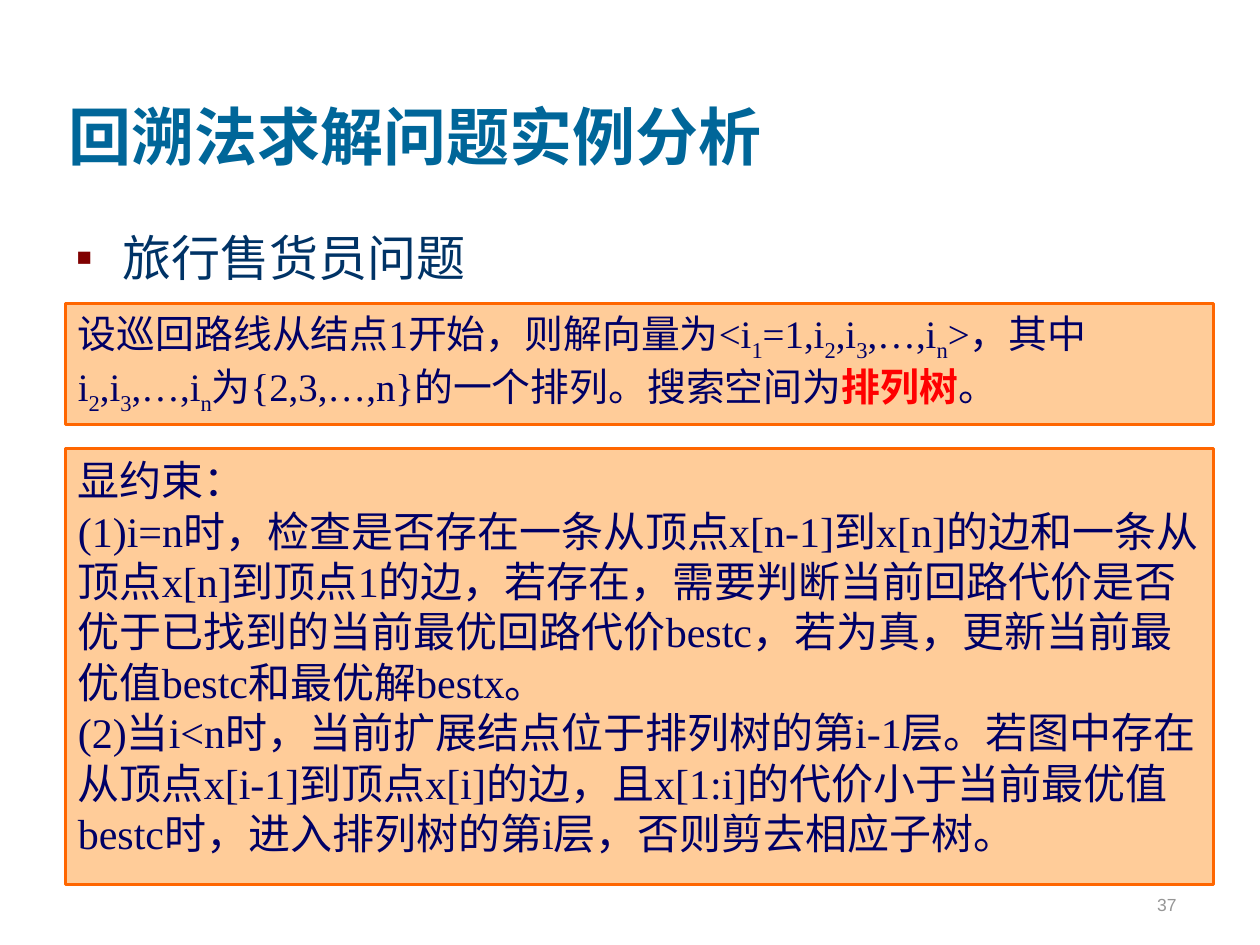
from dataclasses import dataclass

from lxml.etree import SubElement
from pptx import Presentation
from pptx.dml.color import RGBColor as Color
from pptx.enum.shapes import MSO_SHAPE as ShapeKind
from pptx.enum.text import MSO_ANCHOR as Anchor, MSO_AUTO_SIZE as AutoSize, PP_ALIGN as Align
from pptx.oxml.ns import qn
from pptx.util import Cm, Pt


@dataclass(frozen=True)
class Theme:
    heading_font: str = "Cambria"
    box_font: str = "Times New Roman"
    number_font: str = "Arial"
    title: str = "006699"
    body: str = "003366"
    bullet: str = "800000"
    box_text: str = "000066"
    box_fill: str = "FFCC99"
    box_line: str = "FF6600"
    emphasis: str = "FF0000"
    number: str = "969696"
    title_size: float = 36
    body_size: float = 28
    number_size: float = 10


@dataclass(frozen=True)
class Frame:
    left: float
    top: float
    width: float
    height: float


@dataclass(frozen=True)
class TextBlock:
    """A filled box; "_x" marks a subscript x and "*...*" marks emphasis."""
    top: float
    height: float
    size: float
    lines: tuple[str, ...]


THEME = Theme()
BOX_LEFT, BOX_WIDTH = 1.32, 23.14
BLOCKS = (
    TextBlock(9.04, 8.79, 24, (
        "显约束：",
        "(1)i=n时，检查是否存在一条从顶点x[n-1]到x[n]的边和一条从顶点x[n]到顶点1的边，"
        "若存在，需要判断当前回路代价是否优于已找到的当前最优回路代价bestc，"
        "若为真，更新当前最优值bestc和最优解bestx。",
        "(2)当i<n时，当前扩展结点位于排列树的第i-1层。若图中存在从顶点x[i-1]到顶点x[i]的边，"
        "且x[1:i]的代价小于当前最优值bestc时，进入排列树的第i层，否则剪去相应子树。",
    )),
    TextBlock(6.12, 2.44, 22.2, (
        "设巡回路线从结点1开始，则解向量为<i_1=1,i_2,i_3,…,i_n>，其中i_2,i_3,…,i_n"
        "为{2,3,…,n}的一个排列。搜索空间为*排列树*。",
    )),
)


def place(shape, frame: Frame) -> None:
    shape.left, shape.top = Cm(frame.left), Cm(frame.top)
    shape.width, shape.height = Cm(frame.width), Cm(frame.height)


def style(font, name: str, size: float, color: str, bold: bool = False) -> None:
    font.name, font.size, font.bold = name, Pt(size), bold
    font.color.rgb = Color.from_string(color)


def set_frame(shape, anchor: Anchor) -> None:
    text_frame = shape.text_frame
    text_frame.word_wrap = True
    text_frame.auto_size = AutoSize.NONE
    text_frame.vertical_anchor = anchor


def add_bullet(paragraph, character: str, color: str, indent: float) -> None:
    properties = paragraph._p.get_or_add_pPr()
    properties.set("marL", str(Cm(indent)))
    properties.set("indent", str(-Cm(indent)))
    bullet_color = SubElement(properties, qn("a:buClr"))
    SubElement(bullet_color, qn("a:srgbClr"), val=color)
    SubElement(properties, qn("a:buFont"), typeface=THEME.number_font)
    SubElement(properties, qn("a:buChar"), char=character)


def write_marked(paragraph, text: str, size: float) -> None:
    for part, piece in enumerate(text.split("*")):
        emphasized = part % 2 == 1
        color = THEME.emphasis if emphasized else THEME.box_text
        first, *rest = piece.split("_")
        runs = [(first, False)]
        for section in rest:
            runs += [(section[0], True), (section[1:], False)]
        for content, subscript in runs:
            run = paragraph.add_run()
            run.text = content
            style(run.font, THEME.box_font, size, color, emphasized)
            if subscript:
                run.font._element.set("baseline", "-25000")


def add_block(slide, block: TextBlock) -> None:
    shape = slide.shapes.add_shape(ShapeKind.RECTANGLE, Cm(BOX_LEFT), Cm(block.top),
                                   Cm(BOX_WIDTH), Cm(block.height))
    shape.shadow.inherit = False
    shape.fill.solid()
    shape.fill.fore_color.rgb = Color.from_string(THEME.box_fill)
    shape.line.color.rgb = Color.from_string(THEME.box_line)
    shape.line.width = Pt(2)
    set_frame(shape, Anchor.TOP)
    for index, line in enumerate(block.lines):
        text_frame = shape.text_frame
        paragraph = text_frame.add_paragraph() if index else text_frame.paragraphs[0]
        paragraph.alignment = Align.LEFT
        write_marked(paragraph, line, block.size)


def main() -> None:
    presentation = Presentation()
    presentation.slide_width, presentation.slide_height = Cm(25.4), Cm(19.05)
    slide = presentation.slides.add_slide(presentation.slide_layouts[1])

    # Title
    title = slide.shapes.title
    place(title, Frame(1.12, 0.43, 21.59, 3.18))
    set_frame(title, Anchor.BOTTOM)
    title.text_frame.text = "回溯法求解问题实例分析"
    paragraph = title.text_frame.paragraphs[0]
    paragraph.alignment = Align.LEFT
    style(paragraph.font, THEME.heading_font, THEME.title_size, THEME.title, True)

    # Bulleted topic
    body = slide.placeholders[1]
    place(body, Frame(1.27, 4.45, 22.7, 12.4))
    set_frame(body, Anchor.TOP)
    body.text_frame.text = "旅行售货员问题"
    paragraph = body.text_frame.paragraphs[0]
    paragraph.space_before = Pt(7)
    style(paragraph.font, THEME.heading_font, THEME.body_size, THEME.body)
    add_bullet(paragraph, "▪", THEME.bullet, 0.95)

    # Slide number
    number = slide.shapes.add_textbox(Cm(18.69), Cm(17.3), Cm(5.28), Cm(1.27))
    set_frame(number, Anchor.BOTTOM)
    number.text_frame.text = "37"
    paragraph = number.text_frame.paragraphs[0]
    paragraph.alignment = Align.RIGHT
    style(paragraph.font, THEME.number_font, THEME.number_size, THEME.number)

    # Explanation boxes
    for block in BLOCKS:
        add_block(slide, block)

    presentation.save("out.pptx")


if __name__ == "__main__":
    main()
